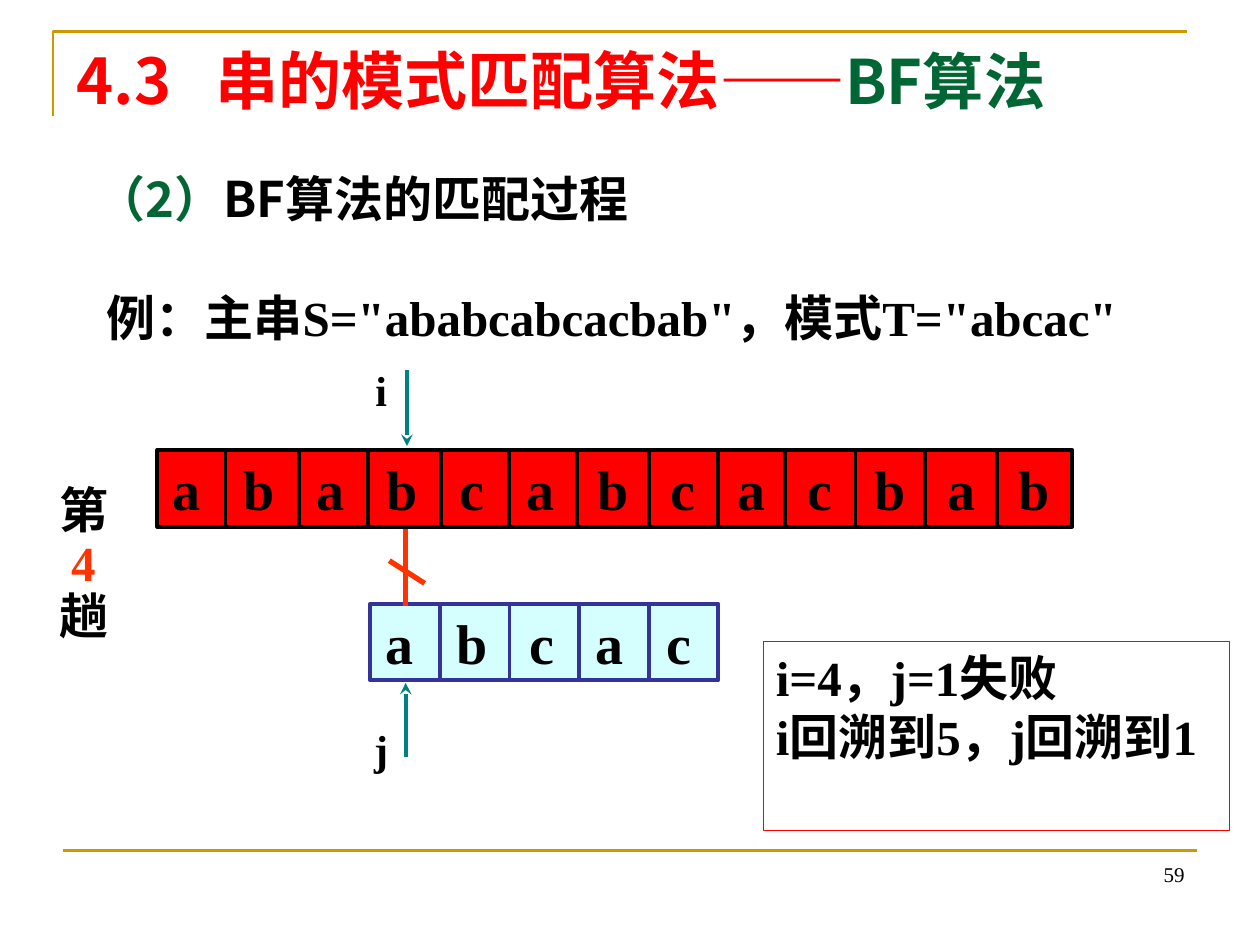
import lxml.etree
import pptx
import pptx.dml.color
import pptx.enum.shapes
import pptx.enum.text
import pptx.oxml.ns
import pptx.util

Inches = pptx.util.Inches
Pt = pptx.util.Pt
colour = pptx.dml.color.RGBColor.from_string
qn = pptx.oxml.ns.qn
ALIGN = pptx.enum.text.PP_ALIGN
ANCHOR = pptx.enum.text.MSO_ANCHOR
RECTANGLE = pptx.enum.shapes.MSO_SHAPE.RECTANGLE
STRAIGHT = pptx.enum.shapes.MSO_CONNECTOR.STRAIGHT

SERIF = "Times New Roman"
SANS = "Noto Sans CJK SC"
BLACK, RED, GREEN = "000000", "FF0000", "006633"
GOLD, NAVY, TEAL, ORANGE = "CC9900", "333399", "008080", "FF3300"

presentation = pptx.Presentation()
presentation.slide_width = Inches(10)
presentation.slide_height = Inches(7.5)
slide = presentation.slides.add_slide(presentation.slide_layouts[6])
shapes = slide.shapes


def add_text(paragraphs, at, size, font=SERIF, bold=True, fill=None, line=None,
             line_width=0.75, insets=(0.1, 0.05, 0.1, 0.05), anchor=ANCHOR.TOP,
             align=ALIGN.LEFT, line_spacing=None, hanging=0, tabs=()):
    """Add a box; each paragraph is a list of (text, colour[, size]) runs."""
    place = [Inches(length) for length in at]
    if line:
        shape = shapes.add_shape(RECTANGLE, *place)
        shape.shadow.inherit = False
        shape.line.color.rgb = colour(line)
        shape.line.width = Pt(line_width)
        if fill:
            shape.fill.solid()
            shape.fill.fore_color.rgb = colour(fill)
        else:
            shape.fill.background()
    else:
        shape = shapes.add_textbox(*place)
    frame = shape.text_frame
    frame.word_wrap = True
    frame.vertical_anchor = anchor
    (frame.margin_left, frame.margin_top,
     frame.margin_right, frame.margin_bottom) = [Inches(inset) for inset in insets]
    for index, runs in enumerate(paragraphs):
        paragraph = frame.add_paragraph() if index else frame.paragraphs[0]
        properties = paragraph._p.get_or_add_pPr()
        if hanging:
            properties.set("marL", str(Inches(hanging)))
            properties.set("indent", str(-Inches(hanging)))
        if tabs:
            tab_list = lxml.etree.SubElement(properties, qn("a:tabLst"))
            for position in tabs:
                lxml.etree.SubElement(tab_list, qn("a:tab"),
                                      pos=str(Inches(position)), algn="l")
        paragraph.alignment = align
        if line_spacing:
            paragraph.line_spacing = line_spacing
        for text, run_colour, *own_size in runs:
            run = paragraph.add_run()
            run.text = text
            run.font.name = font
            run.font.size = Pt(own_size[0] if own_size else size)
            run.font.bold = bold
            run.font.color.rgb = colour(run_colour)
            if font == SANS:
                east_asian = lxml.etree.SubElement(run._r.get_or_add_rPr(), qn("a:ea"))
                east_asian.set("typeface", font)


def add_line(start, end, line_colour, width, arrow=False):
    points = [Inches(length) for length in (*start, *end)]
    connector = shapes.add_connector(STRAIGHT, *points)
    connector.line.color.rgb = colour(line_colour)
    connector.line.width = Pt(width)
    if arrow:
        lxml.etree.SubElement(connector.line._get_or_add_ln(), qn("a:tailEnd"), type="stealth")
    lxml.etree.SubElement(connector._element.spPr, qn("a:effectLst"))


# Frame lines and page number
builder = shapes.build_freeform(Inches(0.42), Inches(0.92))
builder.add_line_segments([(Inches(0.42), Inches(0.25)), (Inches(9.42), Inches(0.25))],
                          close=False)
corner = builder.convert_to_shape()
corner.shadow.inherit = False
corner.fill.background()
corner.line.color.rgb = colour(GOLD)
corner.line.width = Pt(1.5)
add_line((0.5, 6.75), (9.5, 6.75), GOLD, 1.5)
add_text([[("59", BLACK)]], (7.17, 6.59, 2.33, 0.5), 12, bold=False,
         anchor=ANCHOR.BOTTOM, align=ALIGN.RIGHT)

# Headings
add_text([[("4.3\t串的模式匹配算法——", RED), ("BF算法", GREEN, 35)]],
         (0.51, 0.28, 9, 0.91), 36, font=SANS, tabs=[1.1])
add_text([[("（2）", GREEN), ("BF算法的匹配过程", BLACK)]],
         (0.67, 1.15, 8.86, 0.94), 28, font=SANS, line_spacing=1.3, hanging=0.38)
add_text([[('例：主串S="ababcabcacbab"，模式T="abcac"', BLACK)]],
         (0.75, 2.23, 8.92, 0.57), 28, align=ALIGN.JUSTIFY)

# Main string and pattern: letters on tab stops, divided into cells
pattern_left, pattern_width = 2.94, 2.76
strings = [
    ("ababcabcacbab", 1.25, 3.57, 7.26, RED, BLACK,
     [1.79, 2.37, 2.92, 3.5, 4.04, 4.58, 5.15, 5.7, 6.23, 6.79, 7.34, 7.91]),
    ("abcac", pattern_left, 4.79, pattern_width, "D5FFFF", NAVY,
     [pattern_left + pattern_width / 5 * cell for cell in range(1, 5)]),
]
letter_pitch = {"a": 0.56, "b": 0.58, "c": 0.53}
cell_height = 0.61
for letters, left, top, width, fill, line, dividers in strings:
    tabs = [sum(letter_pitch[letter] for letter in letters[:count])
            for count in range(1, len(letters))]
    add_text([[("\t".join(letters), BLACK)]], (left, top, width, cell_height), 32,
             fill=fill, line=line, line_width=2.25, insets=(0.12, 0, 0.02, 0),
             anchor=ANCHOR.MIDDLE, tabs=tabs)
    for x in dividers:
        add_line((x, top), (x, top + cell_height), line, 2.25)

# Result and pass number
add_text([[("i=4，j=1失败", BLACK)], [("i回溯到5，j回溯到1", BLACK)]],
         (6.06, 5.09, 3.7, 1.5), 28, line=RED)
add_text([[("第", BLACK)], [(" ", ORANGE), ("4", ORANGE)], [("趟", BLACK)]],
         (0.37, 3.81, 0.71, 1.36), 28, line_spacing=0.9)

# Mismatch mark and index arrows
add_line((3.22, 4.2), (3.22, 4.81), ORANGE, 3)
add_line((3.09, 4.45), (3.37, 4.63), ORANGE, 3)
add_line((3.23, 2.94), (3.23, 3.54), TEAL, 2.25, arrow=True)
add_line((3.22, 6.01), (3.22, 5.42), TEAL, 2.25, arrow=True)
for index_name, left, top in [("i", 2.98, 2.84), ("j", 2.97, 5.69)]:
    add_text([[(index_name, BLACK)]], (left, top, 0.25, 0.5), 24, insets=(0, 0.05, 0, 0.05))

presentation.save("out.pptx")
